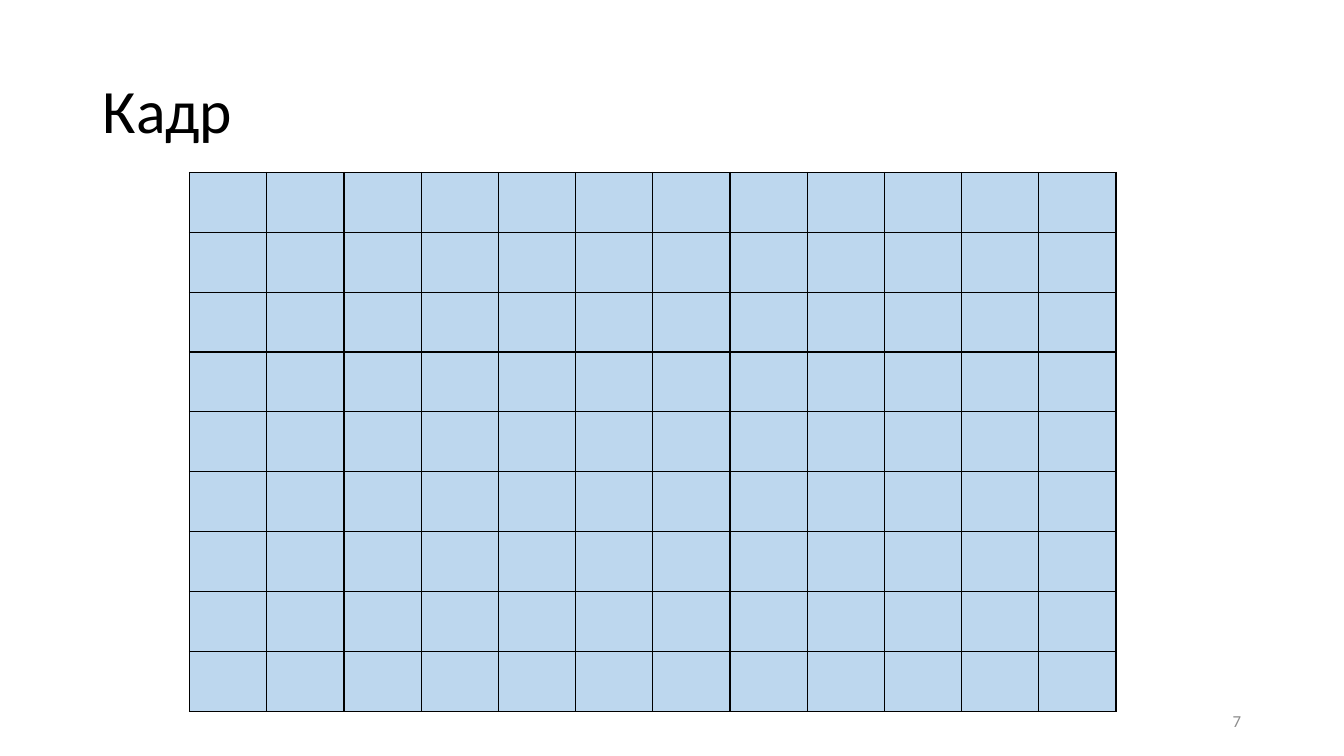
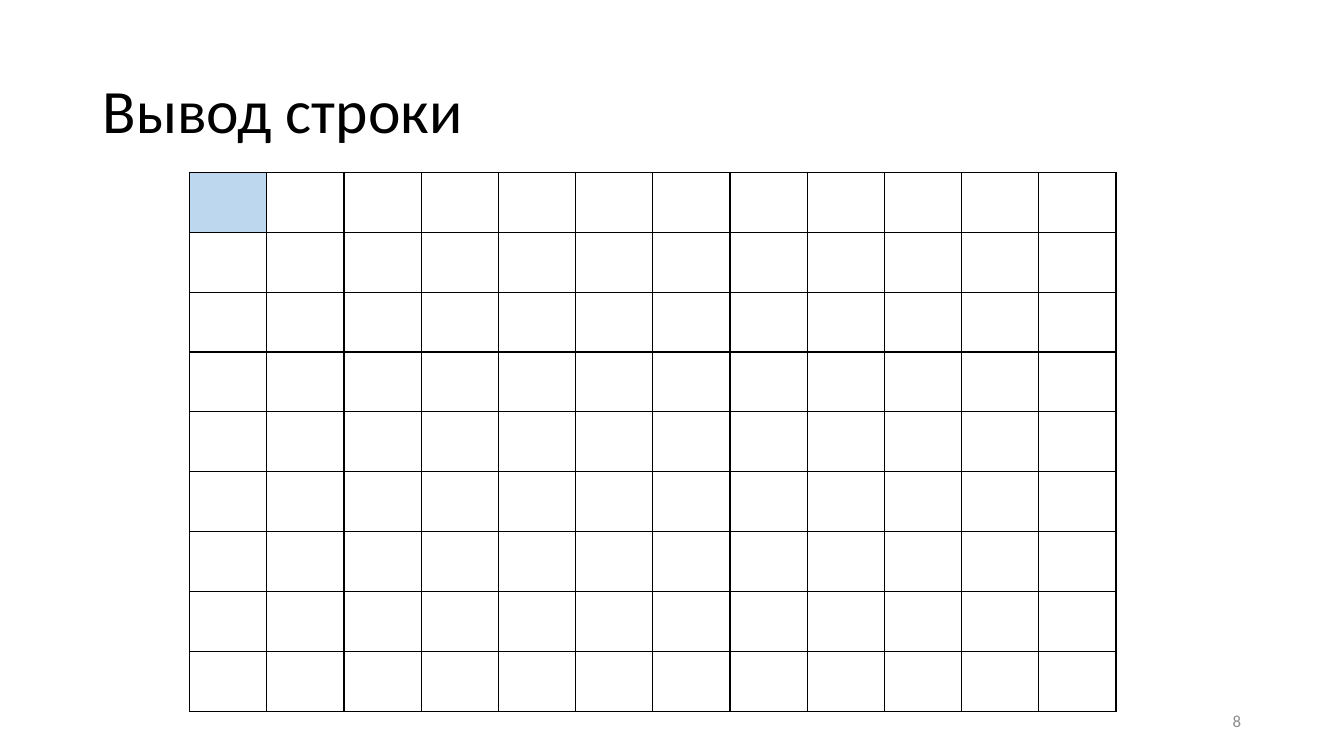
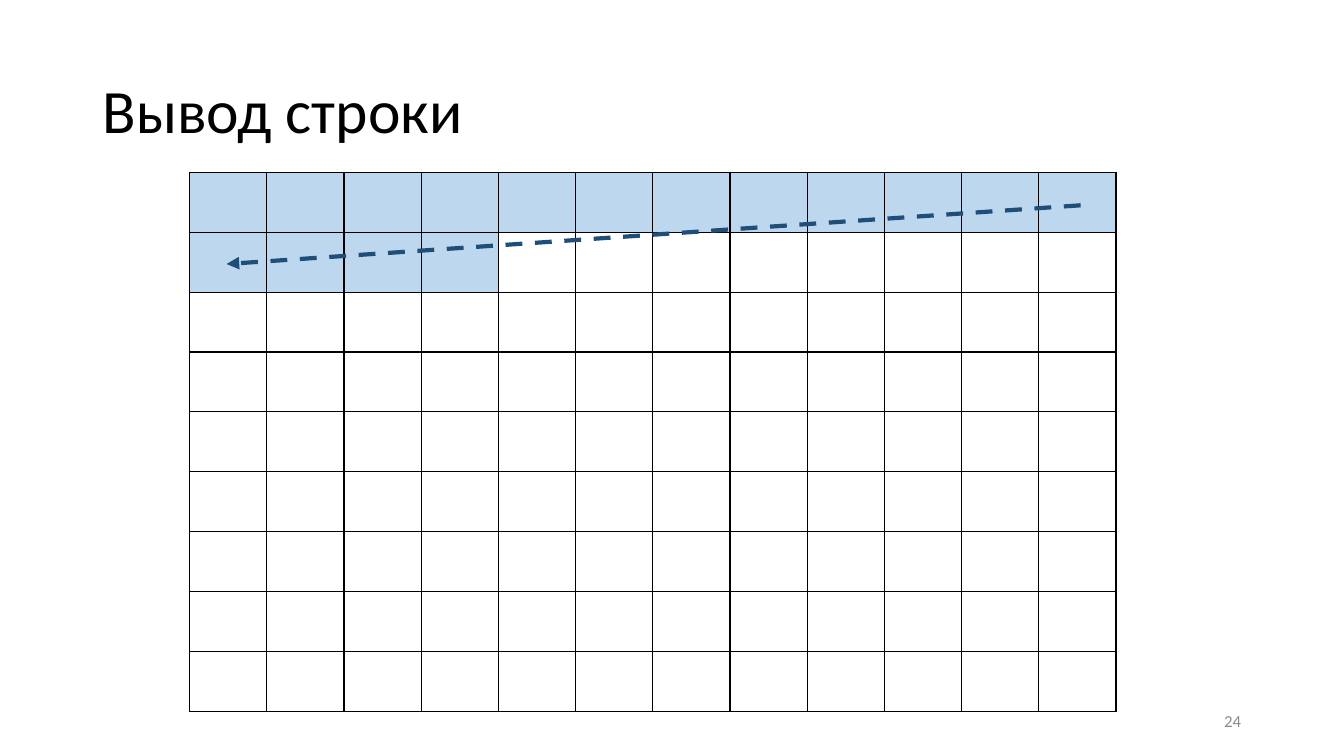
from dataclasses import dataclass

from lxml.etree import SubElement
from pptx import Presentation
from pptx.dml.color import RGBColor
from pptx.enum.dml import MSO_LINE
from pptx.enum.shapes import MSO_CONNECTOR
from pptx.enum.text import MSO_ANCHOR, MSO_AUTO_SIZE, PP_ALIGN
from pptx.oxml.ns import qn
from pptx.util import Inches, Pt


@dataclass(frozen=True)
class Theme:
    font: str = "Calibri"
    title_size: int = 44
    number_size: int = 12
    border_width: int = 1
    arrow_width: int = 3
    text: str = "000000"
    number: str = "8C8C8C"
    pixel: str = "BDD7EE"
    border: str = "000000"
    arrow: str = "1F4E79"


theme = Theme()


def write_text(box, text, size, color, align):
    frame = box.text_frame
    frame.text = text
    frame.word_wrap = True
    frame.auto_size = MSO_AUTO_SIZE.NONE
    frame.vertical_anchor = MSO_ANCHOR.MIDDLE
    para = frame.paragraphs[0]
    para.alignment = align
    font = para.runs[0].font
    font.name = theme.font
    font.size = Pt(size)
    font.color.rgb = RGBColor.from_string(color)
    return para


def add_cell_borders(cell):
    properties = cell._tc.get_or_add_tcPr()
    for side in ("a:lnL", "a:lnR", "a:lnT", "a:lnB"):
        line = SubElement(properties, qn(side), w=str(Pt(theme.border_width)))
        fill = SubElement(line, qn("a:solidFill"))
        SubElement(fill, qn("a:srgbClr"), val=theme.border)


deck = Presentation()
deck.slide_width = Inches(13.33)
deck.slide_height = Inches(7.5)
title_only = deck.slide_layouts[5]

columns, rows = 12, 9
grid_left, grid_top = Inches(1.88), Inches(1.71)
grid_width, grid_height = Inches(9.19), Inches(5.35)
column_width, row_height = grid_width // columns, grid_height // rows
margin = Inches(0.92)
content_width = deck.slide_width - 2 * margin
number_width = Inches(3)

frames = [
    ("Кадр", "7", columns * rows, False),
    ("Вывод строки", "8", 1, False),
    ("Вывод строки", "24", columns + 4, True),
]

for title_text, number_text, drawn_pixels, has_return_arrow in frames:
    page = deck.slides.add_slide(title_only)

    title = page.shapes.title
    title.left, title.top = margin, Inches(0.4)
    title.width, title.height = content_width, Inches(1.45)
    para = write_text(title, title_text, theme.title_size, theme.text, PP_ALIGN.LEFT)
    para.line_spacing = 0.9

    table = page.shapes.add_table(
        rows, columns, grid_left, grid_top, grid_width, grid_height
    ).table
    table.first_row = False
    table.horz_banding = False
    for column in table.columns:
        column.width = column_width
    for row in table.rows:
        row.height = row_height
    for index, cell in enumerate(table.iter_cells()):
        add_cell_borders(cell)
        if index < drawn_pixels:
            cell.fill.solid()
            cell.fill.fore_color.rgb = RGBColor.from_string(theme.pixel)
        else:
            cell.fill.background()

    if has_return_arrow:
        arrow = page.shapes.add_connector(
            MSO_CONNECTOR.STRAIGHT,
            grid_left + int(11.54 * column_width),
            grid_top + int(0.55 * row_height),
            grid_left + int(0.48 * column_width),
            grid_top + int(1.53 * row_height),
        )
        arrow.line.color.rgb = RGBColor.from_string(theme.arrow)
        arrow.line.width = Pt(theme.arrow_width)
        arrow.line.dash_style = MSO_LINE.DASH
        SubElement(arrow.line._get_or_add_ln(), qn("a:tailEnd"), type="triangle")
        SubElement(arrow._element.spPr, qn("a:effectLst"))

    number_box = page.shapes.add_textbox(
        deck.slide_width - margin - number_width,
        Inches(6.95),
        number_width,
        Inches(0.4),
    )
    write_text(
        number_box, number_text, theme.number_size, theme.number, PP_ALIGN.RIGHT
    )

deck.save("out.pptx")
